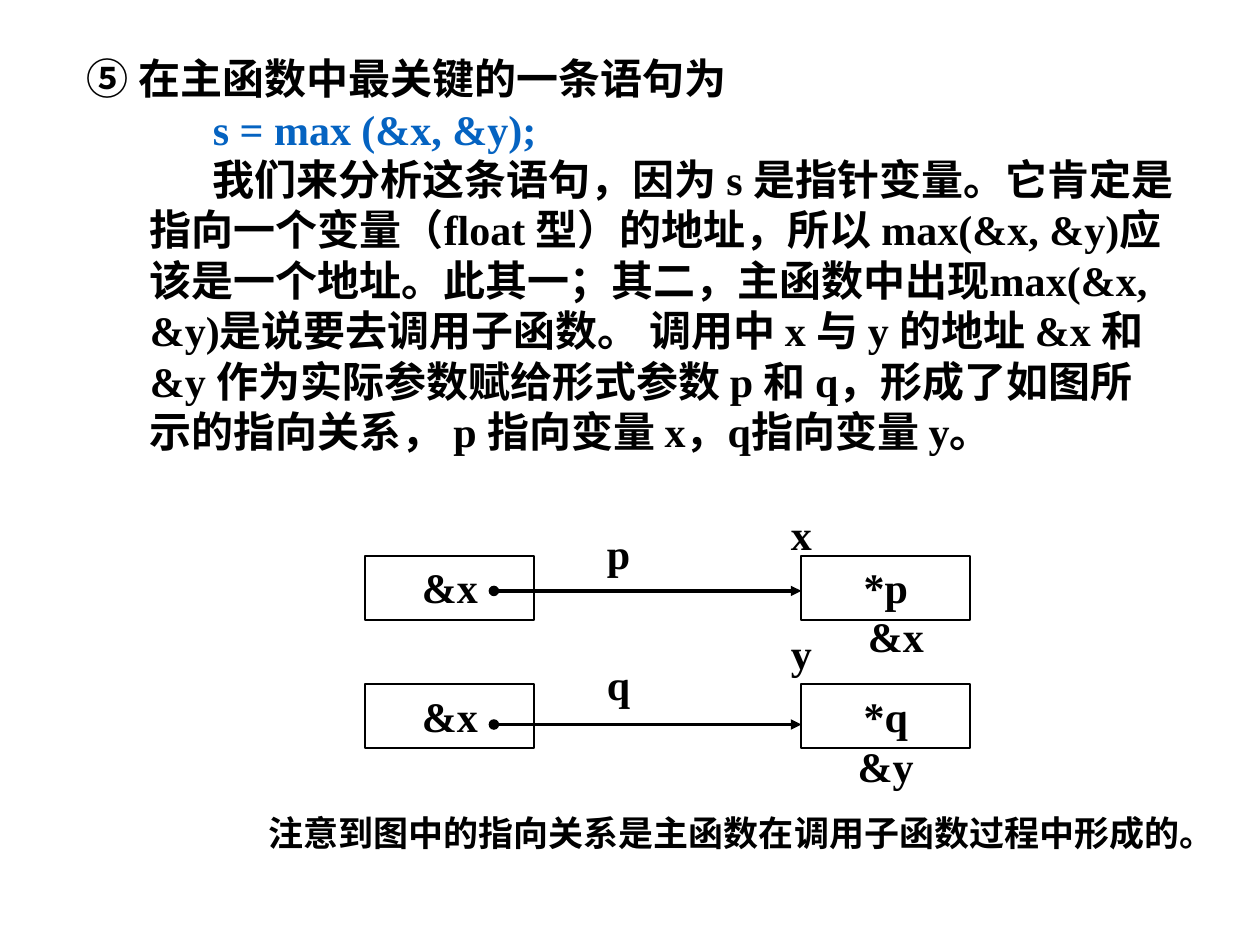
from lxml import etree
from pptx import Presentation, util as u
from pptx.dml.color import RGBColor
from pptx.enum import shapes, text
from pptx.oxml.ns import qn

BLACK = RGBColor(0x00, 0x00, 0x00)
BLUE = RGBColor(0x05, 0x63, 0xC1)
LATIN, CHINESE = "Times New Roman", "Noto Sans CJK SC"

# Content: (text, latin font, colour) for each paragraph
EXPLANATION = [
    ("⑤ 在主函数中最关键的一条语句为", CHINESE, BLACK),
    ("\t\ts = max (&x, &y);", LATIN, BLUE),
    ("\t\t我们来分析这条语句，因为 s 是指针变量。它肯定是指向一个变量（float 型）的地址，"
     "所以 max(&x, &y)应该是一个地址。此其一；其二，主函数中出现max(&x, &y)是说要去调用子函数。 "
     "调用中 x 与 y 的地址 &x 和 &y 作为实际参数赋给形式参数 p 和 q，"
     "形成了如图所示的指向关系， p 指向变量 x，q指向变量 y。", LATIN, BLACK),
]
NOTE = [("\t注意到图中的指向关系是主函数在调用子函数过程中形成的。", CHINESE, BLACK)]

# Each row: box top, arrow height, box texts, then labels as (text, left, top)
POINTER_ROWS = [
    (4.41, 4.69, ("&x", "*p"), [("p", 4.24, 4.14), ("x", 5.69, 3.99), ("&x", 6.44, 4.8)]),
    (5.43, 5.75, ("&x", "*q"), [("q", 4.24, 5.18), ("y", 5.69, 4.93), ("&y", 6.36, 5.83)]),
]
BOX_LEFTS = (2.9, 6.36)
BOX_WIDTH, BOX_HEIGHT, LABEL_HEIGHT = 1.34, 0.51, 0.5
ARROW_START = 3.92

presentation = Presentation()
presentation.slide_width, presentation.slide_height = u.Inches(10), u.Inches(7.5)
slide = presentation.slides.add_slide(presentation.slide_layouts[6])


def inches(*lengths):
    return [u.Inches(length) for length in lengths]


def style_run(run, size, font, color):
    run.font.size, run.font.bold, run.font.name = u.Pt(size), True, font
    run.font.color.rgb = color
    etree.SubElement(run.font._element, qn("a:ea")).set("typeface", CHINESE)


def add_prose(paragraphs, place, size):
    """Text box with a half-inch hanging indent."""
    frame = slide.shapes.add_textbox(*inches(*place)).text_frame
    frame.word_wrap = True
    for index, (words, font, color) in enumerate(paragraphs):
        paragraph = frame.paragraphs[0] if index == 0 else frame.add_paragraph()
        paragraph.text = words
        paragraph.line_spacing = u.Pt(1.2 * size)
        properties = paragraph._p.get_or_add_pPr()
        properties.set("marL", str(u.Inches(0.5)))
        properties.set("indent", str(-u.Inches(0.5)))
        for run in paragraph.runs:
            style_run(run, size, font, color)


def set_centred(shape, words):
    frame = shape.text_frame
    frame.word_wrap = True
    frame.vertical_anchor = text.MSO_ANCHOR.TOP
    frame.text = words
    paragraph = frame.paragraphs[0]
    paragraph.alignment = text.PP_ALIGN.CENTER
    style_run(paragraph.runs[0], 24, LATIN, BLACK)


def add_box(words, left, top):
    box = slide.shapes.add_shape(shapes.MSO_SHAPE.RECTANGLE,
                                 *inches(left, top, BOX_WIDTH, BOX_HEIGHT))
    box.shadow.inherit = False
    box.fill.background()
    box.line.color.rgb, box.line.width = BLACK, u.Pt(1)
    set_centred(box, words)


def add_arrow(y):
    arrow = slide.shapes.add_connector(shapes.MSO_CONNECTOR.STRAIGHT,
                                       *inches(ARROW_START, y, BOX_LEFTS[1], y))
    arrow.line.color.rgb, arrow.line.width = BLACK, u.Pt(2)
    line = arrow.line._get_or_add_ln()
    for end, kind in (("a:headEnd", "oval"), ("a:tailEnd", "triangle")):
        etree.SubElement(line, qn(end)).set("type", kind)
    etree.SubElement(arrow._element.spPr, qn("a:effectLst"))


# Explanation
add_prose(EXPLANATION, (0.59, 0.37, 8.82, 3.33), 24)

# Pointer diagram
for top, arrow_y, box_texts, labels in POINTER_ROWS:
    for left, words in zip(BOX_LEFTS, box_texts):
        add_box(words, left, top)
    add_arrow(arrow_y)
    for words, left, label_top in labels:
        label = slide.shapes.add_textbox(*inches(left, label_top, BOX_WIDTH, LABEL_HEIGHT))
        set_centred(label, words)

# Closing note
add_prose(NOTE, (1.53, 6.39, 8.09, 0.44), 20)

presentation.save("out.pptx")
